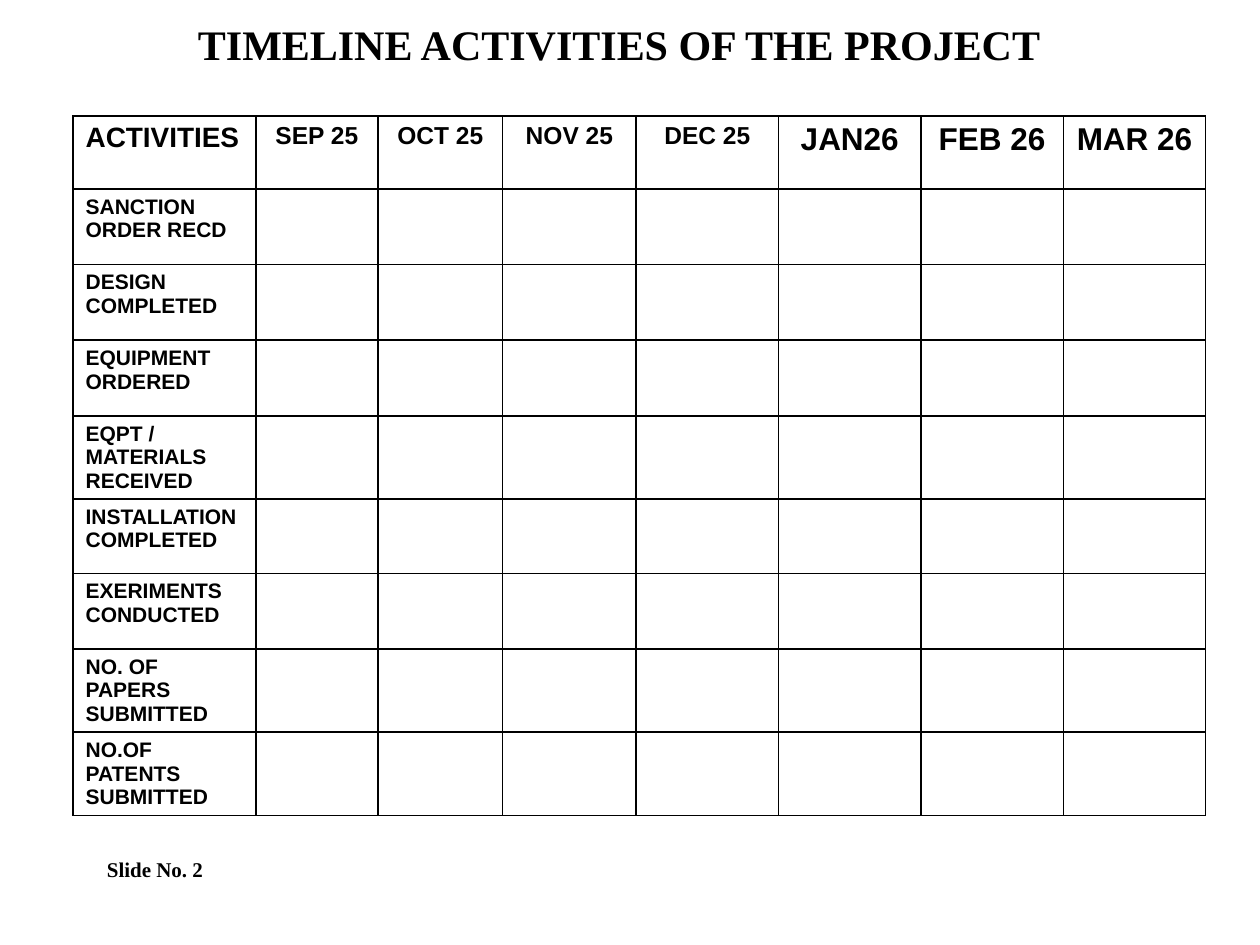
from lxml.etree import SubElement
from pptx import Presentation
from pptx.dml.color import RGBColor as RGB
from pptx.enum.text import MSO_ANCHOR as Anchor, PP_ALIGN as Align
from pptx.oxml.ns import qn
from pptx.util import Inches, Pt

TITLE = "TIMELINE ACTIVITIES OF THE PROJECT"
FOOTER = "Slide No. 2"
HEAD = "ACTIVITIES"
MONTHS = [  # label, type size
    ("SEP 25", "month"), ("OCT 25", "month"), ("NOV 25", "month"),
    ("DEC 25", "month"), ("JAN26", "late"), ("FEB 26", "late"),
    ("MAR 26", "late"),
]
TASKS = [  # label, row height
    ("SANCTION ORDER RECD", 0.6),
    ("DESIGN COMPLETED", 0.6),
    ("EQUIPMENT ORDERED", 0.6),
    ("EQPT / MATERIALS RECEIVED", 0.66),
    ("INSTALLATION COMPLETED", 0.59),
    ("EXERIMENTS CONDUCTED", 0.6),
    ("NO. OF PAPERS SUBMITTED", 0.66),
    ("NO.OF PATENTS SUBMITTED", 0.66),
]
WIDTHS = [1.45, 0.97, 0.99, 1.06] + [1.13] * 4
HEIGHTS = [0.58] + [high for _, high in TASKS]

THEME = {
    "ink": "000000", "line": 1,
    "serif": "Times New Roman", "sans": "Arial",
    "size": {"title": 24, "head": 16, "month": 14, "late": 18,
             "task": 12, "foot": 12},
}


def write(frame, text, size, face, align=Align.LEFT):
    para = frame.paragraphs[0]
    para.alignment = align
    run = para.add_run()
    run.text = text
    form = {"name": THEME[face], "size": Pt(THEME["size"][size]), "bold": True}
    for key, value in form.items():
        setattr(run.font, key, value)
    run.font.color.rgb = RGB.from_string(THEME["ink"])


def border(cell):
    """Draw all four sides; the lines must come before the cell's fill."""
    props = cell._tc.get_or_add_tcPr()
    for spot, side in enumerate(("lnL", "lnR", "lnT", "lnB")):
        line = SubElement(props, qn(f"a:{side}"), w=str(Pt(THEME["line"])))
        fill = SubElement(line, qn("a:solidFill"))
        SubElement(fill, qn("a:srgbClr"), val=THEME["ink"])
        props.insert(spot, line)


def place(shape, *box):
    for key, value in zip(("left", "top", "width", "height"), box):
        setattr(shape, key, Inches(value))


def add_title(slide):
    title = slide.shapes.title
    place(title, 0.67, 0, 7.83, 0.7)
    frame = title.text_frame
    frame.vertical_anchor = Anchor.MIDDLE
    frame.margin_left = Inches(0.76)
    write(frame, TITLE, "title", "serif", Align.CENTER)


def add_grid(slide):
    box = map(Inches, (0.58, 0.92, sum(WIDTHS), sum(HEIGHTS)))
    grid = slide.shapes.add_table(len(HEIGHTS), len(WIDTHS), *box).table
    grid.first_row = grid.horz_banding = False
    for col, wide in zip(grid.columns, WIDTHS):
        col.width = Inches(wide)
    for row, high in zip(grid.rows, HEIGHTS):
        row.height = Inches(high)
    for cell in grid.iter_cells():
        cell.fill.background()
        border(cell)
    write(grid.cell(0, 0).text_frame, HEAD, "head", "sans")
    for col, (text, size) in enumerate(MONTHS, 1):
        write(grid.cell(0, col).text_frame, text, size, "sans", Align.CENTER)
    for row, (text, _) in enumerate(TASKS, 1):
        write(grid.cell(row, 0).text_frame, text, "task", "sans")


def add_foot(slide):
    box = map(Inches, (0.75, 6.75, 8.25, 0.3))
    frame = slide.shapes.add_textbox(*box).text_frame
    frame.word_wrap = True
    write(frame, FOOTER, "foot", "serif")


def main():
    deck = Presentation()
    deck.slide_width, deck.slide_height = Inches(10), Inches(7.5)
    slide = deck.slides.add_slide(deck.slide_layouts[5])
    add_title(slide)
    add_grid(slide)
    add_foot(slide)
    deck.save("out.pptx")


if __name__ == "__main__":
    main()
